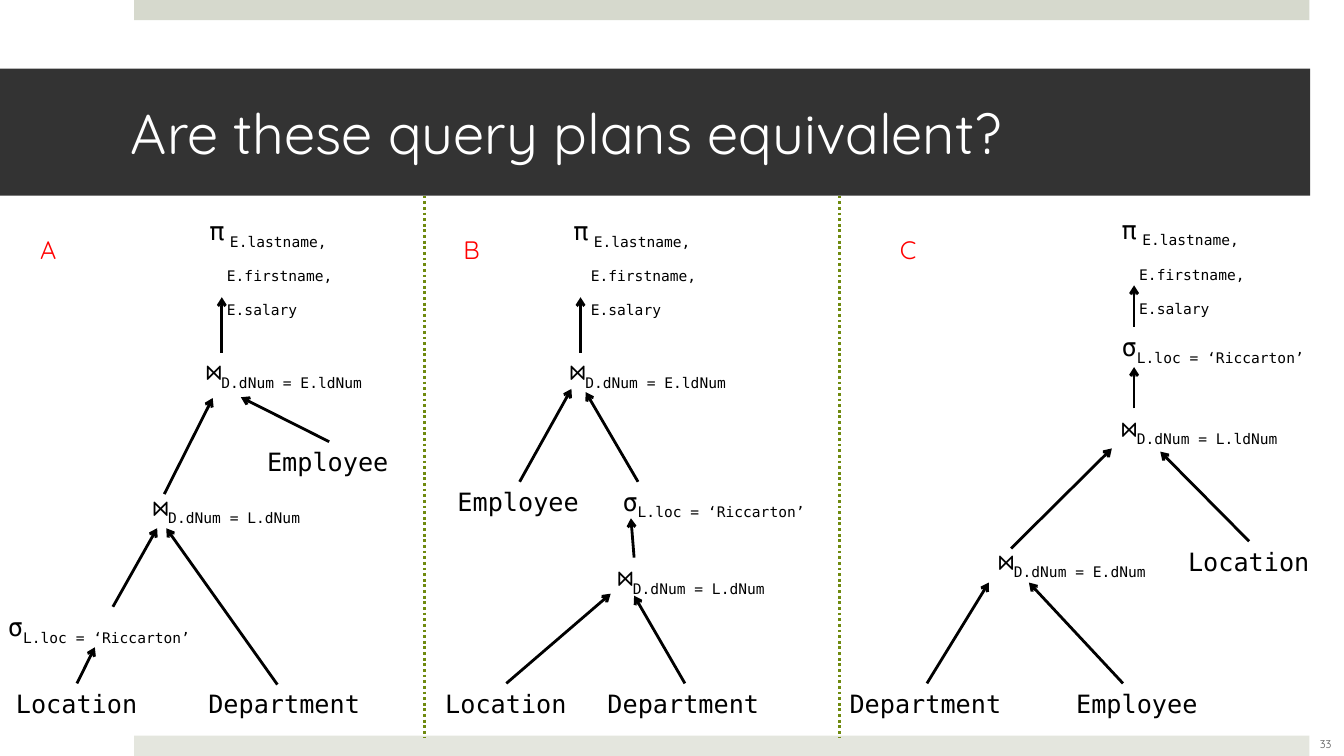
from dataclasses import dataclass

from lxml.etree import SubElement
from pptx import Presentation
from pptx.dml.color import RGBColor
from pptx.enum.dml import MSO_LINE
from pptx.enum.shapes import MSO_CONNECTOR, MSO_SHAPE
from pptx.enum.text import MSO_ANCHOR, MSO_AUTO_SIZE, PP_ALIGN
from pptx.oxml.ns import qn
from pptx.util import Cm, Pt


@dataclass(frozen=True)
class Theme:
    ink: str = "000000"
    paper: str = "FFFFFF"
    band: str = "333333"
    top_bar: str = "D6D9CD"
    bottom_bar: str = "E4E6DE"
    divider: str = "6F8A0F"
    letter: str = "FF0000"
    muted: str = "595959"
    heading_font: str = "Quicksand"
    plan_font: str = "DejaVu Sans Mono"
    title_size: int = 40
    text_size: int = 18
    gap_size: int = 11
    number_size: int = 8


theme = Theme()


def write(shape, text, *, below=(), size=theme.text_size, color=theme.ink,
          font=theme.plan_font, align=PP_ALIGN.LEFT, anchor=MSO_ANCHOR.TOP,
          fit=MSO_AUTO_SIZE.SHAPE_TO_FIT_TEXT):
    """Write text, followed by the lines of its subscript, into a shape."""
    frame = shape.text_frame
    frame.word_wrap = fit == MSO_AUTO_SIZE.NONE
    frame.auto_size = fit
    frame.vertical_anchor = anchor
    lines = [[(text, size, False)]]
    if len(below) > 1:
        lines[0].append((" ", theme.gap_size, True))
    lines[0] += [(line, size, True) for line in below[:1]]
    lines += [[(line, size, True)] for line in below[1:]]
    for index, spans in enumerate(lines):
        para = frame.add_paragraph() if index else frame.paragraphs[0]
        para.alignment = align
        if index:
            para._p.get_or_add_pPr().set("marL", str(Cm(0.44)))
        for words, span_size, lowered in spans:
            span = para.add_run()
            span.text = words
            span.font.size = Pt(span_size)
            span.font.name = font
            span.font.color.rgb = RGBColor.from_string(color)
            if lowered:
                span._r.get_or_add_rPr().set("baseline", "-25000")
    return shape


def add_line(start, end, *, color=theme.ink):
    ends = [Cm(value) for value in (*start, *end)]
    line = slide.shapes.add_connector(MSO_CONNECTOR.STRAIGHT, *ends)
    line.line.color.rgb = RGBColor.from_string(color)
    line.line.width = Pt(2)
    SubElement(line._element.spPr, qn("a:effectLst"))
    return line


deck = Presentation()
deck.slide_width, deck.slide_height = Cm(33.87), Cm(19.05)
slide = deck.slides.add_slide(deck.slide_layouts[5])

for top, color in ((0, theme.top_bar), (18.54, theme.bottom_bar)):
    bar = slide.shapes.add_shape(MSO_SHAPE.RECTANGLE, Cm(3.38), Cm(top), Cm(29.62), Cm(0.51))
    bar.shadow.inherit = False
    bar.fill.solid()
    bar.fill.fore_color.rgb = RGBColor.from_string(color)
    bar.line.fill.background()

title = slide.shapes.title
title.left, title.top, title.width, title.height = Cm(0), Cm(1.73), Cm(33.02), Cm(3.2)
title.fill.solid()
title.fill.fore_color.rgb = RGBColor.from_string(theme.band)
title.text_frame.margin_left, title.text_frame.margin_right = Cm(3.3), Cm(0.76)
write(title, "Are these query plans equivalent?", size=theme.title_size, color=theme.paper,
      font=theme.heading_font, anchor=MSO_ANCHOR.MIDDLE, fit=MSO_AUTO_SIZE.NONE)

number = slide.shapes.add_textbox(Cm(32.56), Cm(18.24), Cm(1.7), Cm(1.02))
write(number, "33", size=theme.number_size, color=theme.muted, font=theme.heading_font,
      align=PP_ALIGN.CENTER, anchor=MSO_ANCHOR.MIDDLE, fit=MSO_AUTO_SIZE.NONE)

for x in (10.69, 21.16):
    divider = add_line((x, 4.93), (x, 18.57), color=theme.divider)
    divider.line.dash_style = MSO_LINE.ROUND_DOT

# Node kinds: text, subscript lines, width, height
kinds = {
    "project": ("π", ("E.lastname,", "E.firstname, ", "E.salary"), 4.39, 2.06),
    "select": ("σ", ("L.loc = ‘Riccarton’",), 5.79, 1.02),
    "D-E.ld": ("⋈", ("D.dNum = E.ldNum",), 5.18, 1.02),
    "D-L.ld": ("⋈", ("D.dNum = L.ldNum",), 5.18, 1.02),
    "D-E.d": ("⋈", ("D.dNum = E.dNum",), 4.93, 1.02),
    "D-L.d": ("⋈", ("D.dNum = L.dNum",), 4.93, 1.02),
    "Location": ("Location", (), 3.58, 1.02),
    "Employee": ("Employee", (), 3.63, 1.02),
    "Department": ("Department", (), 4.4, 1.02),
}

# Plans: letter, its left and width, node places, arrows from a node's top or a point
plans = [
    ("A", 0.76, 0.99,
     {"project": (5.03, 5.31), "D-E.ld": (4.95, 8.86), "select": (-0.05, 15.29),
      "D-L.d": (3.61, 12.27), "Department": (5, 17.22), "Location": (0.15, 17.22),
      "Employee": (6.48, 11.13)},
     [((6.99, 17.25), (4.19, 13.31)), ("Employee", (6.07, 10.01)),
      ((5.59, 8.89), (5.59, 7.49)), ("select", (3.96, 13.31)),
      ("Location", (2.39, 16.31)), ((4.14, 12.45), (5.36, 10.03))]),
    ("B", 11.43, 0.89,
     {"project": (14.2, 5.31), "D-E.ld": (14.12, 8.86), "select": (15.44, 12.12),
      "D-L.d": (15.32, 14.05), "Department": (15.06, 17.22), "Location": (10.97, 17.22),
      "Employee": (11.28, 12.14)},
     [("Department", (15.98, 15.01)), ((16.08, 12.14), (14.76, 9.88)),
      ((14.63, 8.89), (14.63, 7.49)), ("Location", (15.39, 14.96)),
      ("Employee", (14.4, 9.8)), ((15.98, 14.05), (15.9, 13.06))]),
    ("C", 22.43, 1.04,
     {"project": (28.02, 5.28), "D-L.ld": (28.02, 10.29), "select": (28.02, 8.23),
      "D-E.d": (24.92, 13.64), "Location": (29.69, 13.64), "Employee": (26.87, 17.22),
      "Department": (21.16, 17.22)},
     [("Department", (24.92, 14.68)), ((28.3, 17.22), (25.93, 14.68)),
      ((25.48, 13.82), (28.02, 11.3)), ("Location", (29.24, 11.38)),
      ((28.58, 10.29), (28.58, 9.25)), ((28.58, 8.23), (28.58, 7.19))]),
]

for letter, letter_left, letter_width, places, arrows in plans:
    box = slide.shapes.add_textbox(Cm(letter_left), Cm(5.77), Cm(letter_width), Cm(1.02))
    write(box, letter, color=theme.letter, font=theme.heading_font)

    nodes = {}
    for kind, (left, top) in places.items():
        text, below, width, height = kinds[kind]
        box = slide.shapes.add_textbox(Cm(left), Cm(top), Cm(width), Cm(height))
        nodes[kind] = write(box, text, below=below)

    for start, end in arrows:
        joined = start in nodes
        arrow = add_line(places[start] if joined else start, end)
        if joined:
            arrow.begin_connect(nodes[start], 0)
        SubElement(arrow.line._get_or_add_ln(), qn("a:tailEnd"), type="arrow")

deck.save("out.pptx")
